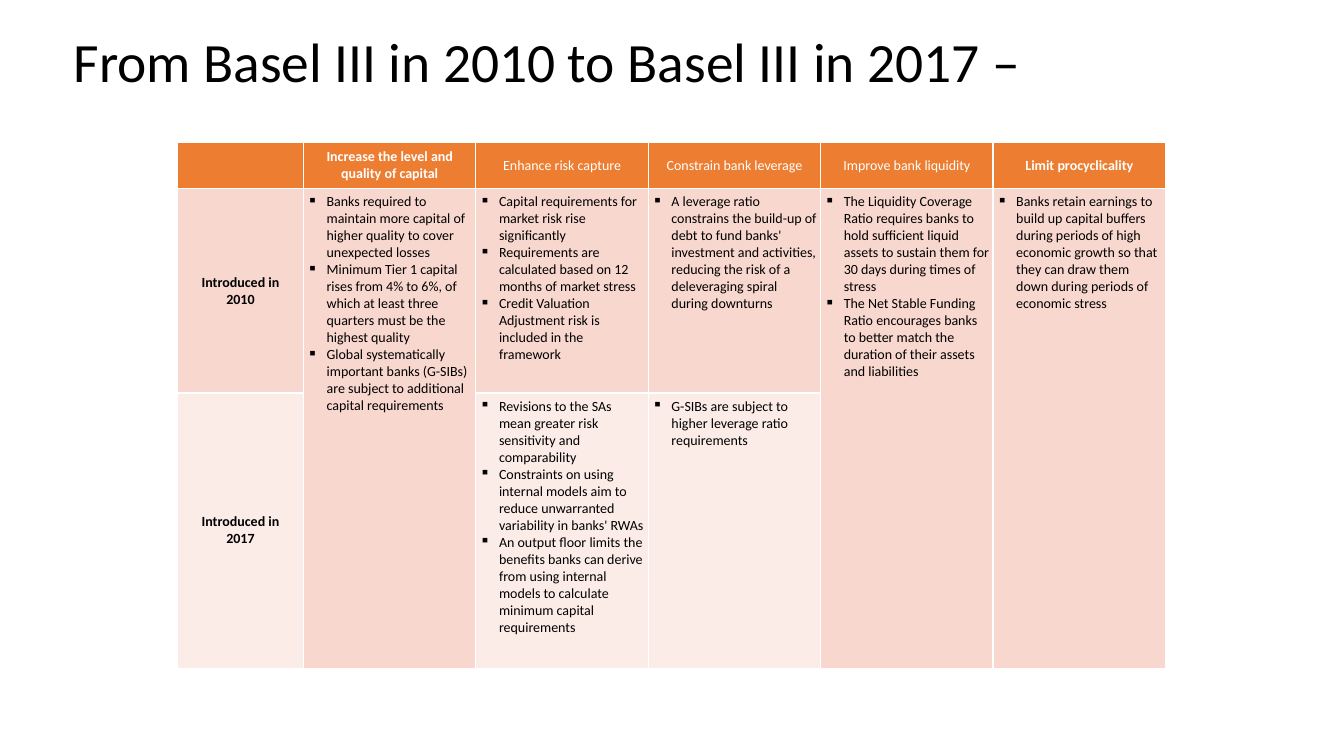
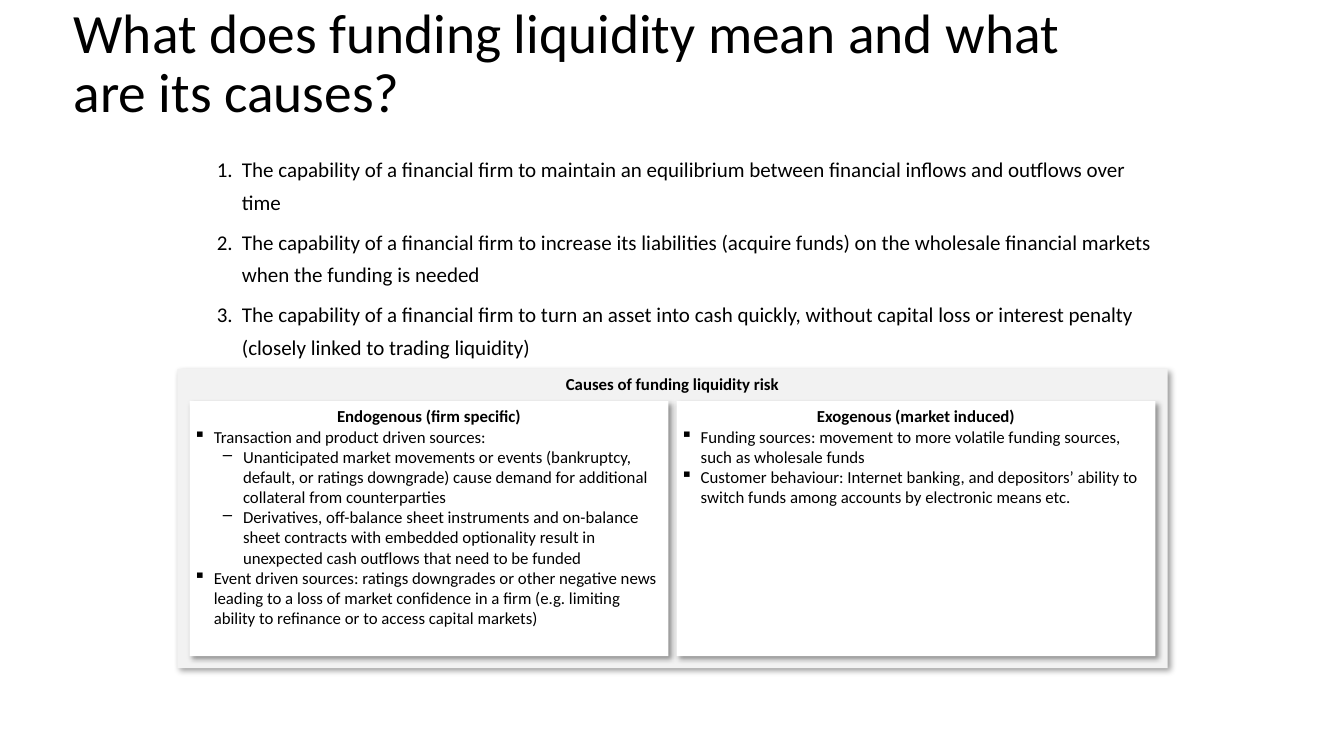
import lxml.etree
import pptx
import pptx.dml.color
import pptx.enum.shapes
import pptx.enum.text
import pptx.oxml.ns
import pptx.util

Inches = pptx.util.Inches
Pt = pptx.util.Pt
RGBColor = pptx.dml.color.RGBColor
ALIGN = pptx.enum.text.PP_ALIGN
ANCHOR = pptx.enum.text.MSO_ANCHOR

BLACK = RGBColor(0x00, 0x00, 0x00)
WHITE = RGBColor(0xFF, 0xFF, 0xFF)
ORANGE = RGBColor(0xED, 0x7D, 0x31)
PEACH = RGBColor(0xF8, 0xD7, 0xCE)
PALE_PEACH = RGBColor(0xFC, 0xEC, 0xE8)
LIGHT_GREY = RGBColor(0xF2, 0xF2, 0xF2)
FONT = "Calibri"

TITLE_BOX = (0.63, 0.17, 10.45, 0.95)
TABLE_BOX = (1.76, 1.41, 9.81, 5.22)
DEFINITIONS_BOX = (1.76, 1.43, 9.81, 2.23)
CAUSES_BOX = (1.76, 3.66, 9.82, 2.97)
CAUSES_HEADING, CAUSES_MARGIN, CAUSES_GAP = 0.32, 0.12, 0.08
COLUMN_WIDTHS = [1.25] + [1.71] * 5
ROW_HEIGHTS = [0.46, 2.03, 2.73]

TIGHT = {
    "margin_left": Inches(0.04),
    "margin_right": Inches(0.04),
    "margin_top": Inches(0.05),
    "margin_bottom": Inches(0.05),
    "word_wrap": True,
}
TIGHT_TOP = {**TIGHT, "vertical_anchor": ANCHOR.TOP}
TIGHT_MIDDLE = {**TIGHT, "vertical_anchor": ANCHOR.MIDDLE}
MIDDLE = {"vertical_anchor": ANCHOR.MIDDLE}
UNFITTED = {"auto_size": pptx.enum.text.MSO_AUTO_SIZE.NONE, "word_wrap": True}

HEADING = {"format": {"alignment": ALIGN.CENTER}, "bold": True}
PLAIN_HEADING = {**HEADING, "bold": False}
TITLE = {"format": {"alignment": ALIGN.LEFT, "line_spacing": 0.9}}
TABLE_BULLET = {"indent": (0.19, -0.19), "bullet": ("buChar", "char", "▪")}
BULLET = {"indent": (0.2, -0.2), "bullet": ("buChar", "char", "▪")}
DASH = {
    "indent": (0.49, -0.2),
    "bullet": ("buChar", "char", "–"),
    "format": {"alignment": ALIGN.LEFT, "level": 1},
}
NUMBER = {
    "indent": (0.54, -0.25),
    "bullet": ("buAutoNum", "type", "arabicPeriod"),
    "format": {"alignment": ALIGN.LEFT, "level": 1, "line_spacing": 1.3},
    "gap": Pt(5),
}

BASEL_TITLE = "From Basel III in 2010 to Basel III in 2017 –"
OBJECTIVES = [
    (HEADING, "Increase the level and quality of capital"),
    (PLAIN_HEADING, "Enhance risk capture"),
    (PLAIN_HEADING, "Constrain bank leverage"),
    (PLAIN_HEADING, "Improve bank liquidity"),
    (HEADING, "Limit procyclicality"),
]
REFORMS = [
    ("Introduced in 2010", PEACH, [
        [
            "Banks required to maintain more capital of higher quality to cover unexpected losses",
            "Minimum Tier 1 capital rises from 4% to 6%, of which at least three quarters must be the highest quality",
            "Global systematically important banks (G-SIBs) are subject to additional capital requirements",
        ],
        [
            "Capital requirements for market risk rise significantly",
            "Requirements are calculated based on 12 months of market stress",
            "Credit Valuation Adjustment risk is included in the framework",
        ],
        ["A leverage ratio constrains the build-up of debt to fund banks' investment and activities, reducing the risk of a deleveraging spiral during downturns"],
        [
            "The Liquidity Coverage Ratio requires banks to hold sufficient liquid assets to sustain them for 30 days during times of stress",
            "The Net Stable Funding Ratio encourages banks to better match the duration of their assets and liabilities",
        ],
        ["Banks retain earnings to build up capital buffers during periods of high economic growth so that they can draw them down during periods of economic stress"],
    ]),
    ("Introduced in 2017", PALE_PEACH, [
        None,
        [
            "Revisions to the SAs mean greater risk sensitivity and comparability",
            "Constraints on using internal models aim to reduce unwarranted variability in banks' RWAs",
            "An output floor limits the benefits banks can derive from using internal models to calculate minimum capital requirements",
        ],
        ["G-SIBs are subject to higher leverage ratio requirements"],
        None,
        None,
    ]),
]

LIQUIDITY_TITLE = "What does funding liquidity mean and what are its causes?"
DEFINITIONS = [
    "The capability of a financial firm to maintain an equilibrium between financial inflows and outflows over time",
    "The capability of a financial firm to increase its liabilities (acquire funds) on the wholesale financial markets when the funding is needed",
    "The capability of a financial firm to turn an asset into cash quickly, without capital loss or interest penalty (closely linked to trading liquidity)",
]
CAUSES_TITLE = "Causes of funding liquidity risk"
CAUSES = [
    [
        (HEADING, "Endogenous (firm specific)"),
        (BULLET, "Transaction and product driven sources:"),
        (DASH, "Unanticipated market movements or events (bankruptcy, default, or ratings downgrade) cause demand for additional collateral from counterparties"),
        (DASH, "Derivatives, off-balance sheet instruments and on-balance sheet contracts with embedded optionality result in unexpected cash outflows that need to be funded"),
        (BULLET, "Event driven sources: ratings downgrades or other negative news leading to a loss of market confidence in a firm (e.g. limiting ability to refinance or to access capital markets)"),
    ],
    [
        (HEADING, "Exogenous (market induced)"),
        (BULLET, "Funding sources: movement to more volatile funding sources, such as wholesale funds"),
        (BULLET, "Customer behaviour: Internet banking, and depositors’ ability to switch funds among accounts by electronic means etc."),
    ],
]


def apply(target, values):
    for name, value in values.items():
        setattr(target, name, value)


def add_element(parent, tag, **attributes):
    values = {name: str(value) for name, value in attributes.items()}
    return lxml.etree.SubElement(parent, pptx.oxml.ns.qn("a:" + tag), values)


def place(placeholder, box):
    apply(placeholder, dict(zip(("left", "top", "width", "height"), map(Inches, box))))


def write(frame, lines, size, color=BLACK):
    for index, (style, text) in enumerate(lines):
        paragraph = frame.add_paragraph() if index else frame.paragraphs[0]
        if "bullet" in style:
            properties = paragraph._p.get_or_add_pPr()
            margin, indent = style["indent"]
            properties.set("marL", str(Inches(margin)))
            properties.set("indent", str(Inches(indent)))
            tag, attribute, value = style["bullet"]
            add_element(properties, tag, **{attribute: value})
        apply(paragraph, style.get("format", {"alignment": ALIGN.LEFT}))
        paragraph.space_before = style.get("gap", Pt(0)) if index else Pt(0)
        run = paragraph.add_run()
        run.text = text
        apply(run.font, {"name": FONT, "size": Pt(size), "bold": style.get("bold", False)})
        run.font.color.rgb = color


def add_titled_slide(deck, layout, text):
    slide = deck.slides.add_slide(deck.slide_layouts.get_by_name(layout))
    title = slide.shapes.title
    place(title, TITLE_BOX)
    apply(title.text_frame, {**UNFITTED, **MIDDLE})
    write(title.text_frame, [(TITLE, text)], 39.6)
    return slide


def fill_cell(cell, color, margins, lines, text_color=BLACK):
    cell.fill.solid()
    cell.fill.fore_color.rgb = color
    apply(cell, {name: value for name, value in margins.items() if name != "word_wrap"})
    write(cell.text_frame, lines, 10, text_color)


def add_reforms(slide):
    table = slide.shapes.add_table(
        len(ROW_HEIGHTS), len(COLUMN_WIDTHS), *map(Inches, TABLE_BOX)).table
    for column, width in zip(table.columns, COLUMN_WIDTHS):
        column.width = Inches(width)
    for row, height in zip(table.rows, ROW_HEIGHTS):
        row.height = Inches(height)
    fill_cell(table.cell(0, 0), ORANGE, TIGHT_MIDDLE, [])
    for column, objective in enumerate(OBJECTIVES, 1):
        fill_cell(table.cell(0, column), ORANGE, TIGHT_MIDDLE, [objective], WHITE)
    for row, (year, color, measures) in enumerate(REFORMS, 1):
        fill_cell(table.cell(row, 0), color, MIDDLE, [(HEADING, year)])
        for column, points in enumerate(measures, 1):
            cell = table.cell(row, column)
            if points is None:
                table.cell(row - 1, column).merge(cell)
            else:
                fill_cell(cell, color, TIGHT_TOP, [(TABLE_BULLET, point) for point in points])


def add_panel(slide, box, color, lines):
    panel = slide.shapes.add_shape(
        pptx.enum.shapes.MSO_SHAPE.RECTANGLE, *map(Inches, box))
    panel.fill.solid()
    panel.fill.fore_color.rgb = color
    panel.line.fill.background()
    panel.shadow.inherit = False
    effects = panel._element.spPr.find(pptx.oxml.ns.qn("a:effectLst"))
    shadow = add_element(effects, "outerShdw", blurRad=Pt(4), dist=Pt(3),
                         dir=45 * 60000, algn="tl", rotWithShape=0)
    add_element(add_element(shadow, "srgbClr", val=BLACK), "alpha", val=40000)
    apply(panel.text_frame, TIGHT_TOP)
    write(panel.text_frame, lines, 12)


def add_causes(slide):
    add_panel(slide, CAUSES_BOX, LIGHT_GREY, [(HEADING, CAUSES_TITLE)])
    left, top, width, height = CAUSES_BOX
    count = len(CAUSES)
    panel_width = (width - 2 * CAUSES_MARGIN - (count - 1) * CAUSES_GAP) / count
    panel_height = height - CAUSES_HEADING - CAUSES_MARGIN
    for index, lines in enumerate(CAUSES):
        panel_left = left + CAUSES_MARGIN + index * (panel_width + CAUSES_GAP)
        add_panel(slide, (panel_left, top + CAUSES_HEADING, panel_width, panel_height),
                  WHITE, lines)


def main():
    deck = pptx.Presentation()
    apply(deck, {"slide_width": Inches(13.33), "slide_height": Inches(7.5)})

    add_reforms(add_titled_slide(deck, "Title Only", BASEL_TITLE))

    liquidity = add_titled_slide(deck, "Title and Content", LIQUIDITY_TITLE)
    definitions = liquidity.placeholders[1]
    place(definitions, DEFINITIONS_BOX)
    apply(definitions.text_frame, UNFITTED)
    write(definitions.text_frame, [(NUMBER, text) for text in DEFINITIONS], 15)
    add_causes(liquidity)

    deck.save("out.pptx")


if __name__ == "__main__":
    main()
